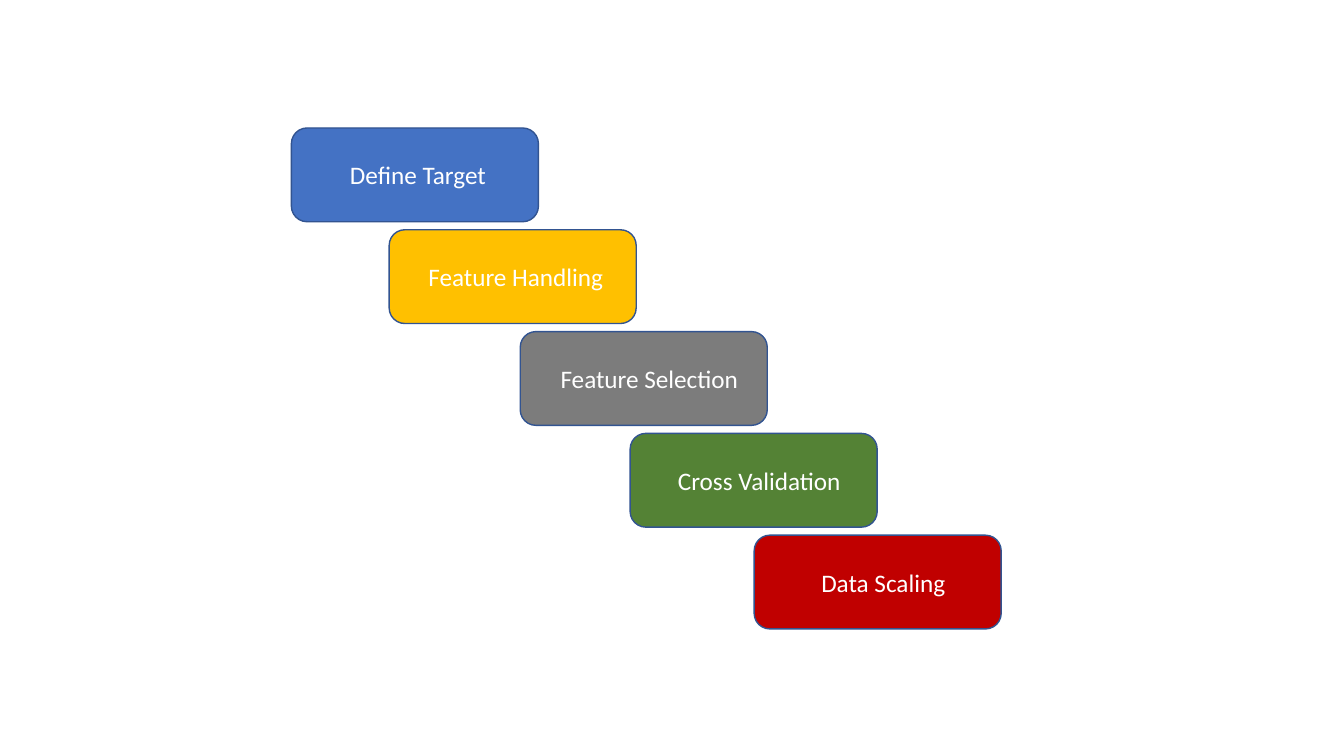
import pptx
import pptx.dml.color
import pptx.enum.shapes
import pptx.enum.text
import pptx.util

SCALE = 9144  # EMU in one px, 100 px to the inch
WIDE, HIGH = 245, 93
TOP, PITCH = 127, 101

# label, left edge, fill, indent of the label
STEPS = [
    ("Define Target", 289, "4472C4", 6),
    ("Feature Handling", 386, "FFC000", 6),
    ("Feature Selection", 516, "7C7C7C", 11),
    ("Cross Validation", 625, "548235", 11),
    ("Data Scaling", 748, "C00000", 11),
]


def px(size):
    return pptx.util.Emu(size * SCALE)


def color(code):
    return pptx.dml.color.RGBColor.from_string(code)


class Stair:
    font = "Calibri"
    size = 18
    ink = "FFFFFF"
    edge = "325491"
    inset = 10

    def __init__(self, slide):
        self.group = slide.shapes.add_group_shape()

    def step(self, label, left, top, fill, indent):
        """Add a rounded box whose centred label is pushed right by its indent."""
        box = self.group.shapes.add_shape(
            pptx.enum.shapes.MSO_SHAPE.ROUNDED_RECTANGLE,
            px(left), px(top), px(WIDE), px(HIGH))
        box.shadow.inherit = False
        box.fill.solid()
        box.fill.fore_color.rgb = color(fill)
        box.line.color.rgb = color(self.edge)
        box.line.width = pptx.util.Pt(1)
        self.label(box.text_frame, label, indent)

    def label(self, frame, text, indent):
        frame.text = text
        frame.word_wrap = True
        frame.margin_left = px(self.inset + indent)
        frame.margin_right = px(self.inset)
        frame.vertical_anchor = pptx.enum.text.MSO_ANCHOR.MIDDLE
        line = frame.paragraphs[0]
        line.alignment = pptx.enum.text.PP_ALIGN.CENTER
        font = line.runs[0].font
        font.name = self.font
        font.size = pptx.util.Pt(self.size)
        font.color.rgb = color(self.ink)


def main():
    deck = pptx.Presentation()
    deck.slide_width, deck.slide_height = px(1333), px(750)
    stair = Stair(deck.slides.add_slide(deck.slide_layouts[6]))
    for row, (label, left, fill, indent) in enumerate(STEPS):
        stair.step(label, left, TOP + row * PITCH, fill, indent)
    deck.save("out.pptx")


if __name__ == "__main__":
    main()
